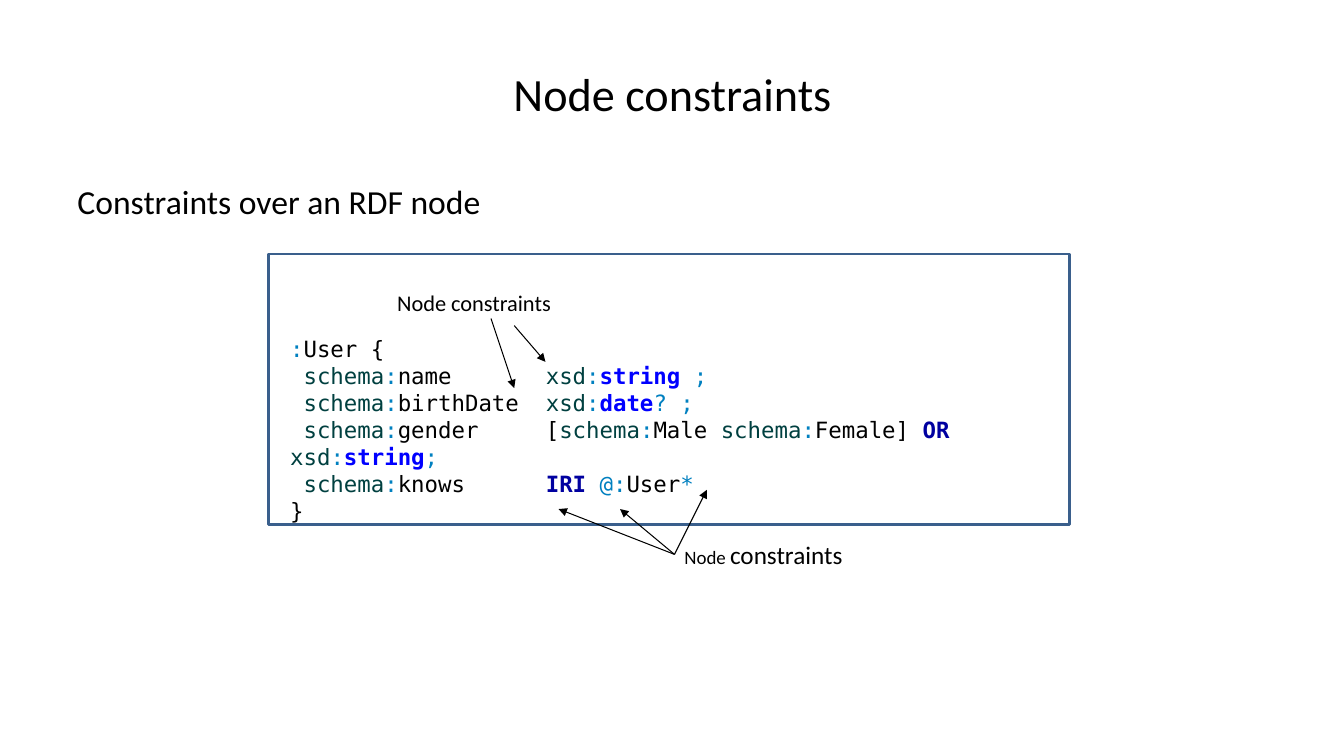
from pptx import Presentation, util as u
from pptx.dml.color import RGBColor
from pptx.enum import shapes, text
from pptx.oxml.ns import qn
from lxml import etree

BLACK, TEAL, CYAN, BLUE, NAVY = "000000", "004040", "0080C0", "0000FF", "0000A0"
BOLD_COLORS = (BLUE, NAVY)


def color(hex_value):
    """Turn a hex string into a colour."""
    return RGBColor.from_string(hex_value)


def prefixed(prefix, name, name_color=BLACK):
    """Return the coloured parts of a prefixed name."""
    return [(prefix, TEAL), (":", CYAN), (name, name_color)]


def field(name):
    """Return the start of a schema line, padded to the constraint column."""
    return [(" ", BLACK)] + prefixed("schema", name.ljust(11))


class SlideBuilder:
    """Hold the slide style and draw each kind of element."""

    body_font = "Calibri"
    code_font = "DejaVu Sans Mono"

    def __init__(self, slide):
        """Keep the slide to draw on."""
        self.slide = slide

    def text_box(self, left, top, width, height, wrap=True, anchor=text.MSO_ANCHOR.TOP):
        """Add an empty text box and return its frame."""
        shape = self.slide.shapes.add_textbox(*map(u.Inches, (left, top, width, height)))
        frame = shape.text_frame
        frame.word_wrap = wrap
        frame.vertical_anchor = anchor
        return frame

    def style_run(self, run, size, font, hex_value=BLACK):
        """Set the font of one run."""
        run.font.size = u.Pt(size)
        run.font.name = font
        run.font.color.rgb = color(hex_value)
        run.font.bold = hex_value in BOLD_COLORS

    def label(self, box, parts, align=text.PP_ALIGN.LEFT, **options):
        """Add one line of text made of (words, size) parts."""
        paragraph = self.text_box(*box, **options).paragraphs[0]
        paragraph.alignment = align
        for words, size in parts:
            run = paragraph.add_run()
            run.text = words
            self.style_run(run, size, self.body_font)

    def code(self, box, lines, size):
        """Add a listing whose lines hold (words, colour) parts."""
        frame = self.text_box(*box)
        for index, line in enumerate(lines):
            paragraph = frame.add_paragraph() if index else frame.paragraphs[0]
            for words, hex_value in line:
                run = paragraph.add_run()
                run.text = words
                self.style_run(run, size, self.code_font, hex_value)

    def arrow(self, start, end):
        """Add a thin straight arrow."""
        connector = self.slide.shapes.add_connector(
            shapes.MSO_CONNECTOR.STRAIGHT, *map(u.Inches, start + end))
        connector.line.color.rgb = color(BLACK)
        connector.line.width = u.Pt(0.75)
        etree.SubElement(connector.line._get_or_add_ln(), qn("a:tailEnd"), type="triangle")
        etree.SubElement(connector._element.spPr, qn("a:effectLst"))

    def frame(self, left, top, width, height):
        """Add an unfilled rectangle."""
        shape = self.slide.shapes.add_shape(
            shapes.MSO_SHAPE.RECTANGLE, *map(u.Inches, (left, top, width, height)))
        shape.shadow.inherit = False
        shape.fill.background()
        shape.line.color.rgb = color("3A5F8C")
        shape.line.width = u.Pt(2)


def main():
    """Build and save the slide."""
    presentation = Presentation()
    presentation.slide_width = u.Inches(13.33)
    presentation.slide_height = u.Inches(7.5)
    builder = SlideBuilder(presentation.slides.add_slide(presentation.slide_layouts[6]))

    builder.label((0.67, 0.3, 12, 1.25), [("Node constraints", 33)],
                  align=text.PP_ALIGN.CENTER, anchor=text.MSO_ANCHOR.MIDDLE)
    builder.label((0.67, 1.75, 12, 0.77), [("Constraints over an RDF node", 24)])

    builder.code((2.78, 3.28, 8.06, 1.72), [
        [(":", CYAN), ("User {", BLACK)],
        field("name") + prefixed("xsd", "string ", BLUE) + [(";", CYAN)],
        field("birthDate") + prefixed("xsd", "date", BLUE) + [("? ;", CYAN)],
        field("gender") + [("[", BLACK)] + prefixed("schema", "Male ")
        + prefixed("schema", "Female] ") + [("OR ", NAVY)]
        + prefixed("xsd", "string", BLUE) + [(";", CYAN)],
        field("knows") + [("IRI ", NAVY), ("@:", CYAN), ("User", BLACK), ("*", CYAN)],
        [("}", BLACK)],
    ], 16)

    builder.label((6.69, 5.3, 1.79, 0.4), [("Node ", 13.5), ("constraints", 18)], wrap=False)
    builder.label((3.84, 2.82, 1.75, 0.37), [("Node constraints", 16)], wrap=False)
    builder.frame(2.66, 2.52, 7.95, 2.68)

    for end in ((5.54, 5.05), (6.15, 5.05), (7.01, 4.86)):
        builder.arrow((6.69, 5.5), end)
    builder.arrow((5.1, 3.23), (5.41, 3.59))
    builder.arrow((4.87, 3.16), (5.1, 3.85))

    presentation.save("out.pptx")


if __name__ == "__main__":
    main()
